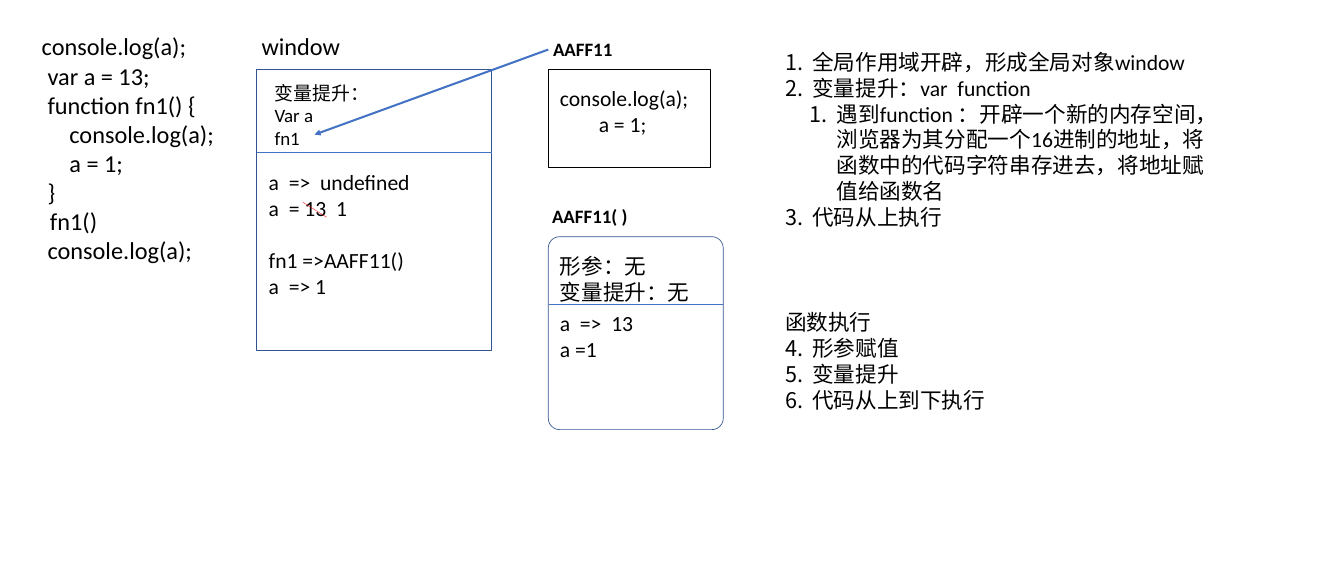
"""Build the slide on JavaScript variable hoisting and function memory."""
from dataclasses import dataclass
from typing import Optional

from lxml.etree import SubElement
from pptx import Presentation
from pptx.dml.color import RGBColor
from pptx.enum.shapes import MSO_CONNECTOR as Connector, MSO_SHAPE as Preset
from pptx.enum.text import MSO_ANCHOR as Anchor, MSO_AUTO_SIZE as AutoSize, PP_ALIGN as Align
from pptx.oxml.ns import qn
from pptx.util import Inches, Pt

FONT = "Calibri"
COLORS = {"text": "000000", "frame": "325491", "accent": "4472C4", "strike": "FF0000", "paper": "FFFFFF"}
HANGING = 0.56
LIST_SIZE = 32


@dataclass(frozen=True)
class Line:
    """A line of text with its indent in inches and the gap above in points."""
    text: str
    indent: float = 0
    gap: float = 0


@dataclass(frozen=True)
class TextBlock:
    """A text box and its lines."""
    left: float
    top: float
    width: float
    height: float
    size: int
    lines: tuple[Line, ...]
    bold: bool = False


@dataclass(frozen=True)
class Frame:
    """An outlined memory area."""
    preset: Preset
    left: float
    top: float
    width: float
    height: float
    color: str
    fill: Optional[str] = None
    radius: Optional[float] = None


@dataclass(frozen=True)
class Stroke:
    """A straight line, with an arrowhead if asked for."""
    start: tuple[float, float]
    end: tuple[float, float]
    color: str = "accent"
    weight: float = 0.5
    arrow: bool = False


@dataclass(frozen=True)
class Step:
    """A list entry; start is its list's first number, or None for plain text."""
    text: str
    start: Optional[int] = 1
    level: int = 0
    gap: float = 0


WINDOW_TITLE = TextBlock(5.28, 0.6, 1.83, 0.71, 36, (Line("window"),))

FRAMES = (
    Frame(Preset.RECTANGLE, 5.28, 1.43, 4.83, 5.77, "frame"),
    Frame(Preset.RECTANGLE, 11.28, 1.43, 3.33, 2.02, "text", fill="paper"),
    Frame(Preset.ROUNDED_RECTANGLE, 11.28, 4.87, 3.6, 3.97, "frame", radius=0.065),
)

TEXT_BLOCKS = (
    TextBlock(0.43, 0.6, 4.22, 4.95, 36, (
        Line("console.log(a);", 0.33),
        Line("var a = 13;", 0.45),
        Line("function fn1() {", 0.45),
        Line("console.log(a);", 0.9),
        Line("a = 1;", 0.9),
        Line("}", 0.45),
        Line("fn1()", 0.5),
        Line("console.log(a);", 0.45),
    )),
    TextBlock(5.55, 1.62, 4.57, 1.51, 28, (Line("变量提升："), Line("Var a"), Line("fn1"))),
    TextBlock(5.43, 3.43, 4.42, 2.79, 32, (
        Line("a  =>  undefined"),
        Line("a  = 13  1"),
        Line("fn1 =>AAFF11()", gap=39),
        Line("a  => 1"),
    )),
    TextBlock(11.28, 0.73, 1.6, 0.57, 28, (Line("AAFF11"),), bold=True),
    TextBlock(11.42, 1.7, 3, 1.18, 32, (Line("console.log(a);"), Line("a = 1;", 0.8))),
    TextBlock(11.26, 4.16, 1.9, 0.57, 28, (Line("AAFF11( )"),), bold=True),
    TextBlock(11.42, 5.15, 3.32, 1.18, 32, (Line("形参：无"), Line("变量提升：无"))),
    TextBlock(11.42, 6.33, 3.2, 1.18, 32, (Line("a  =>  13"), Line("a =1"))),
)

STROKES = (
    Stroke((5.28, 3.13), (10.12, 3.13)),
    Stroke((11.3, 6.26), (14.88, 6.26)),
    Stroke((11.28, 1.02), (6.47, 2.77), weight=3, arrow=True),
    Stroke((6.23, 4.16), (6.72, 4.47), color="strike"),
)

STEPS = (
    Step("全局作用域开辟，形成全局对象window"),
    Step("变量提升：var  function"),
    Step("遇到function ：开辟一个新的内存空间，浏览器为其分配一个16进制的地址，"
         "将函数中的代码字符串存进去，将地址赋值给函数名", level=1),
    Step("代码从上执行"),
    Step("函数执行", start=None, gap=117),
    Step("形参赋值", start=4),
    Step("变量提升", start=4),
    Step("代码从上到下执行", start=4),
)


def rgb(name: str) -> RGBColor:
    """Look up a colour by name."""
    return RGBColor.from_string(COLORS[name])


def place(shape, left: float, top: float, width: float, height: float) -> None:
    """Move and size a shape in inches."""
    shape.left, shape.top = Inches(left), Inches(top)
    shape.width, shape.height = Inches(width), Inches(height)


def prepare_frame(shape):
    """Set wrapping and top anchoring, and return the text frame."""
    text_frame = shape.text_frame
    text_frame.word_wrap = True
    text_frame.auto_size = AutoSize.NONE
    text_frame.vertical_anchor = Anchor.TOP
    return text_frame


def write_paragraph(text_frame, index: int, text: str, size: int, gap: float, bold: bool = False):
    """Write one formatted paragraph and return its properties element."""
    paragraph = text_frame.add_paragraph() if index else text_frame.paragraphs[0]
    paragraph.alignment = Align.LEFT
    paragraph.space_before = Pt(gap)
    run = paragraph.add_run()
    run.text = text
    run.font.name, run.font.size, run.font.bold = FONT, Pt(size), bold
    run.font.color.rgb = rgb("text")
    return paragraph._p.get_or_add_pPr()


def fill_block(shape, block: TextBlock) -> None:
    """Place a shape and write the block's lines in it."""
    place(shape, block.left, block.top, block.width, block.height)
    text_frame = prepare_frame(shape)
    for index, line in enumerate(block.lines):
        properties = write_paragraph(text_frame, index, line.text, block.size, line.gap, block.bold)
        properties.set("marL", str(Inches(line.indent)))


def fill_steps(shape, steps: tuple[Step, ...]) -> None:
    """Write the numbered list."""
    text_frame = prepare_frame(shape)
    for index, step in enumerate(steps):
        properties = write_paragraph(text_frame, index, step.text, LIST_SIZE, step.gap)
        text_frame.paragraphs[index].level = step.level
        hanging = 0 if step.start is None else HANGING
        properties.set("marL", str(Inches(hanging + 0.5 * step.level)))
        properties.set("indent", str(Inches(-hanging)))
        if step.start is None:
            SubElement(properties, qn("a:buNone"))
            continue
        SubElement(properties, qn("a:buFont"), typeface="+mj-lt")
        number = SubElement(properties, qn("a:buAutoNum"), type="arabicPeriod")
        if step.start > 1:
            number.set("startAt", str(step.start))


def draw_frame(slide, frame: Frame) -> None:
    """Draw an outlined area."""
    shape = slide.shapes.add_shape(frame.preset, 0, 0, 0, 0)
    place(shape, frame.left, frame.top, frame.width, frame.height)
    shape.shadow.inherit = False
    if frame.radius is not None:
        shape.adjustments[0] = frame.radius
    if frame.fill is None:
        shape.fill.background()
    else:
        shape.fill.solid()
        shape.fill.fore_color.rgb = rgb(frame.fill)
    shape.line.color.rgb = rgb(frame.color)
    shape.line.width = Pt(1)


def draw_stroke(slide, stroke: Stroke) -> None:
    """Draw a connector."""
    ends = [Inches(value) for value in stroke.start + stroke.end]
    connector = slide.shapes.add_connector(Connector.STRAIGHT, *ends)
    connector.line.color.rgb = rgb(stroke.color)
    connector.line.width = Pt(stroke.weight)
    if stroke.arrow:
        SubElement(connector.line._get_or_add_ln(), qn("a:tailEnd"), type="triangle")
    SubElement(connector._element.spPr, qn("a:effectLst"))


def main() -> None:
    """Build and save the presentation."""
    presentation = Presentation()
    presentation.slide_width, presentation.slide_height = Inches(27.65), Inches(11.81)
    slide = presentation.slides.add_slide(presentation.slide_layouts[1])
    fill_block(slide.shapes.title, WINDOW_TITLE)
    place(slide.placeholders[1], 16.05, 0.95, 9.05, 8.72)
    fill_steps(slide.placeholders[1], STEPS)
    for frame in FRAMES:
        draw_frame(slide, frame)
    for block in TEXT_BLOCKS:
        fill_block(slide.shapes.add_textbox(0, 0, 0, 0), block)
    for stroke in STROKES:
        draw_stroke(slide, stroke)
    presentation.save("out.pptx")


main()
